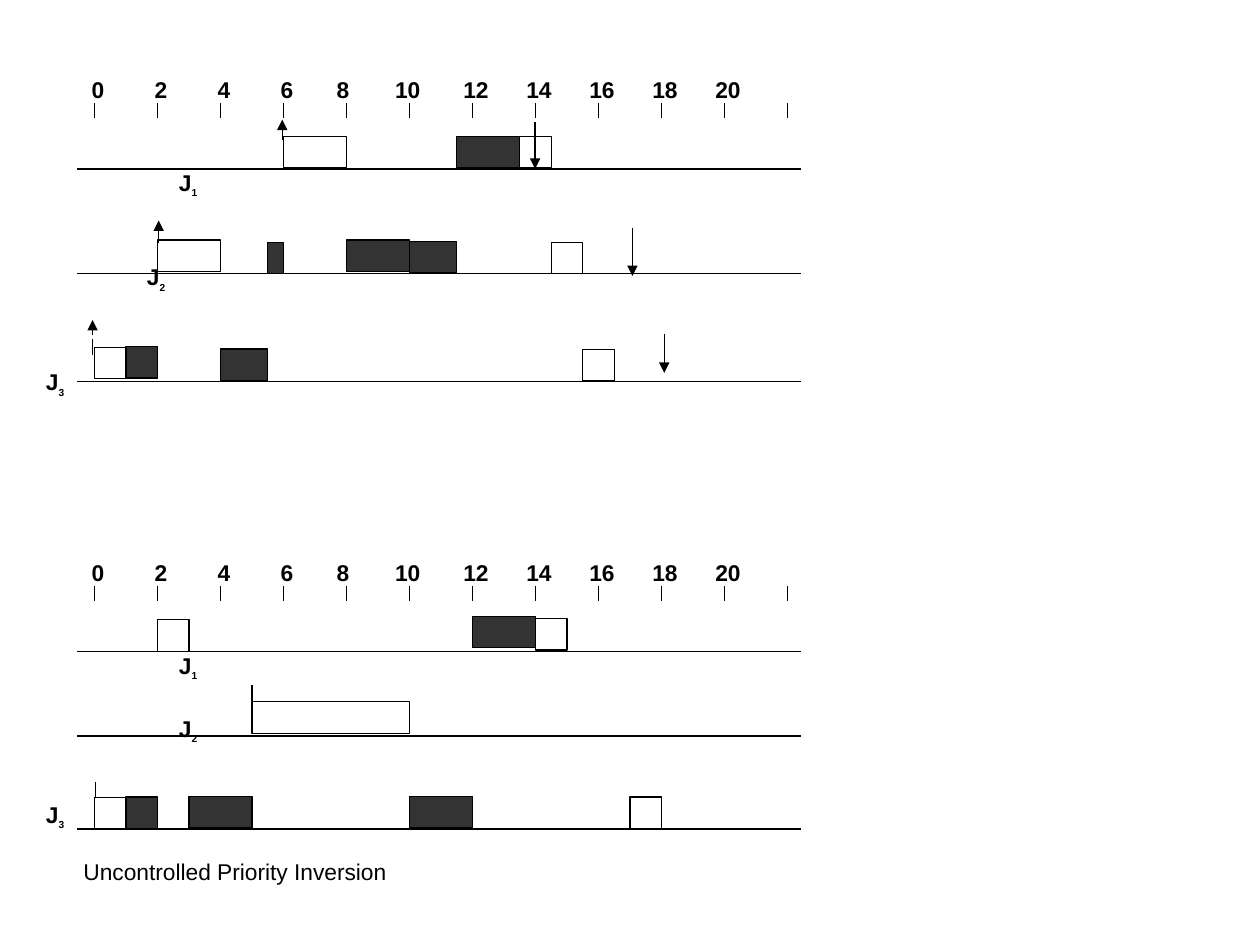
from lxml.etree import SubElement
from pptx import Presentation
from pptx.dml.color import RGBColor
from pptx.enum.shapes import MSO_CONNECTOR, MSO_SHAPE
from pptx.enum.text import MSO_ANCHOR
from pptx.oxml.ns import qn
from pptx.util import Pt

BLACK = RGBColor(0x00, 0x00, 0x00)
DARK = RGBColor(0x33, 0x33, 0x33)
WHITE = RGBColor(0xFF, 0xFF, 0xFF)

ORIGIN = 54
UNIT = 18
AXIS_LEFT, AXIS_RIGHT = 44, 458
NUMBER_LEFT = 20
NUMBER_CENTRES = (56, 92, 128, 164, 196, 233, 272, 308, 344, 380, 416)

SCHEDULES = [
    {
        "numbers": 51,
        "ticks": 59,
        "axes": (96.5, 156.2, 218.2),
        "labels": [("1", 102.3, 105), ("2", 84, 159), ("3", 26.3, 219)],
        "blocks": [
            (6, 8, 77.8, WHITE), (11.5, 13.5, 77.8, DARK), (13.5, 14.5, 77.8, WHITE),
            (2, 4, 137.2, WHITE), (5.5, 6, 138.4, DARK), (8, 10, 137.2, DARK),
            (10, 11.5, 138, DARK), (14.5, 15.5, 138.4, WHITE),
            (0, 2, 198.5, WHITE), (1, 2, 198, DARK), (4, 5.5, 199.4, DARK),
            (15.5, 16.5, 199.8, WHITE),
        ],
        "markers": [(52.9, 203, 193.7)],
        "arrows": [
            (161.3, 80, 68.4), (90.7, 139, 126), (52.9, 191.5, 182.9),
            (305.8, 69.8, 96.5), (361.4, 130.3, 157.7), (379.6, 190.8, 213.1),
        ],
    },
    {
        "numbers": 327,
        "ticks": 334.8,
        "axes": (372.2, 420.5, 473.8),
        "labels": [("1", 102.3, 381), ("2", 102.3, 417), ("3", 26.3, 466)],
        "blocks": [
            (2, 3, 354.2, WHITE), (12, 14, 352.2, DARK), (14, 15, 353.5, WHITE),
            (5, 10, 401, WHITE),
            (0, 2, 455.8, WHITE), (1, 2, 455.4, DARK), (3, 5, 455.2, DARK),
            (10, 12, 455.2, DARK), (17, 18, 455.4, WHITE),
        ],
        "markers": [(144, 400.5, 391.7), (54.7, 455.8, 447)],
        "arrows": [],
    },
]


def add_line(page, x1, y1, x2, y2, arrow=False):
    line = page.shapes.add_connector(
        MSO_CONNECTOR.STRAIGHT, Pt(x1), Pt(y1), Pt(x2), Pt(y2))
    line.line.color.rgb = BLACK
    line.line.width = Pt(0.75)
    if arrow:
        SubElement(line.line._get_or_add_ln(), qn("a:tailEnd"), type="triangle")
    SubElement(line._element.spPr, qn("a:effectLst"))


def add_block(page, start, end, top, fill):
    block = page.shapes.add_shape(
        MSO_SHAPE.RECTANGLE, Pt(ORIGIN + UNIT * start), Pt(top),
        Pt(UNIT * (end - start)), Pt(18))
    block.shadow.inherit = False
    block.fill.solid()
    block.fill.fore_color.rgb = fill
    block.line.color.rgb = BLACK
    block.line.width = Pt(0.75)


def add_text_box(page, left, middle, width):
    box = page.shapes.add_textbox(Pt(left), Pt(middle - 10), Pt(width), Pt(20))
    frame = box.text_frame
    frame.word_wrap = True
    frame.vertical_anchor = MSO_ANCHOR.MIDDLE
    frame.margin_left = frame.margin_right = 0
    frame.margin_top = frame.margin_bottom = 0
    return frame.paragraphs[0]


def add_span(para, text, size=13, bold=True):
    span = para.add_run()
    span.text = text
    span.font.name = "Arial"
    span.font.size = Pt(size)
    span.font.bold = bold
    span.font.color.rgb = BLACK
    return span


def add_job_label(page, number, left, middle):
    para = add_text_box(page, left, middle, 30)
    add_span(para, "J")
    subscript = add_span(para, number, 10)
    subscript.font._element.set("baseline", "-30000")


def add_time_numbers(page, middle):
    para = add_text_box(page, NUMBER_LEFT, middle, 446)
    tabs = SubElement(para._p.get_or_add_pPr(), qn("a:tabLst"))
    for index, centre in enumerate(NUMBER_CENTRES):
        SubElement(tabs, qn("a:tab"), pos=str(Pt(centre - NUMBER_LEFT)), algn="ctr")
        add_span(para, f"\t{2 * index}")


def add_schedule(page, schedule):
    for axis in schedule["axes"]:
        add_line(page, AXIS_LEFT, axis, AXIS_RIGHT, axis)
    top = schedule["ticks"]
    for time in range(0, 23, 2):
        x = ORIGIN + UNIT * time
        add_line(page, x, top, x, top + 8.7)
    for block in schedule["blocks"]:
        add_block(page, *block)
    for x, start, end in schedule["markers"]:
        add_line(page, x, start, x, end)
    for x, start, end in schedule["arrows"]:
        add_line(page, x, start, x, end, arrow=True)
    for label in schedule["labels"]:
        add_job_label(page, *label)
    add_time_numbers(page, schedule["numbers"])


def main():
    deck = Presentation()
    deck.slide_width, deck.slide_height = Pt(720), Pt(540)
    page = deck.slides.add_slide(deck.slide_layouts[6])
    for schedule in SCHEDULES:
        add_schedule(page, schedule)
    caption = add_text_box(page, 47.7, 498, 220)
    add_span(caption, "Uncontrolled Priority Inversion", bold=False)
    deck.save("out.pptx")


if __name__ == "__main__":
    main()
